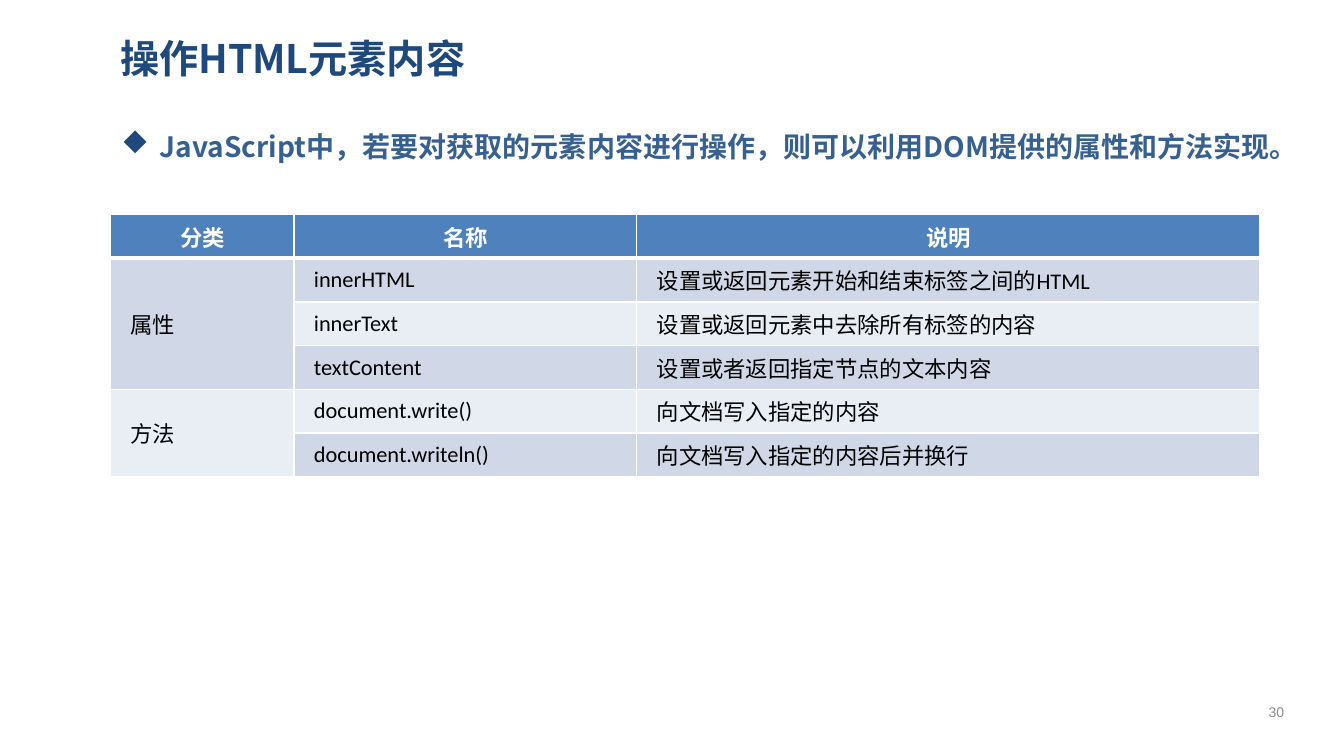
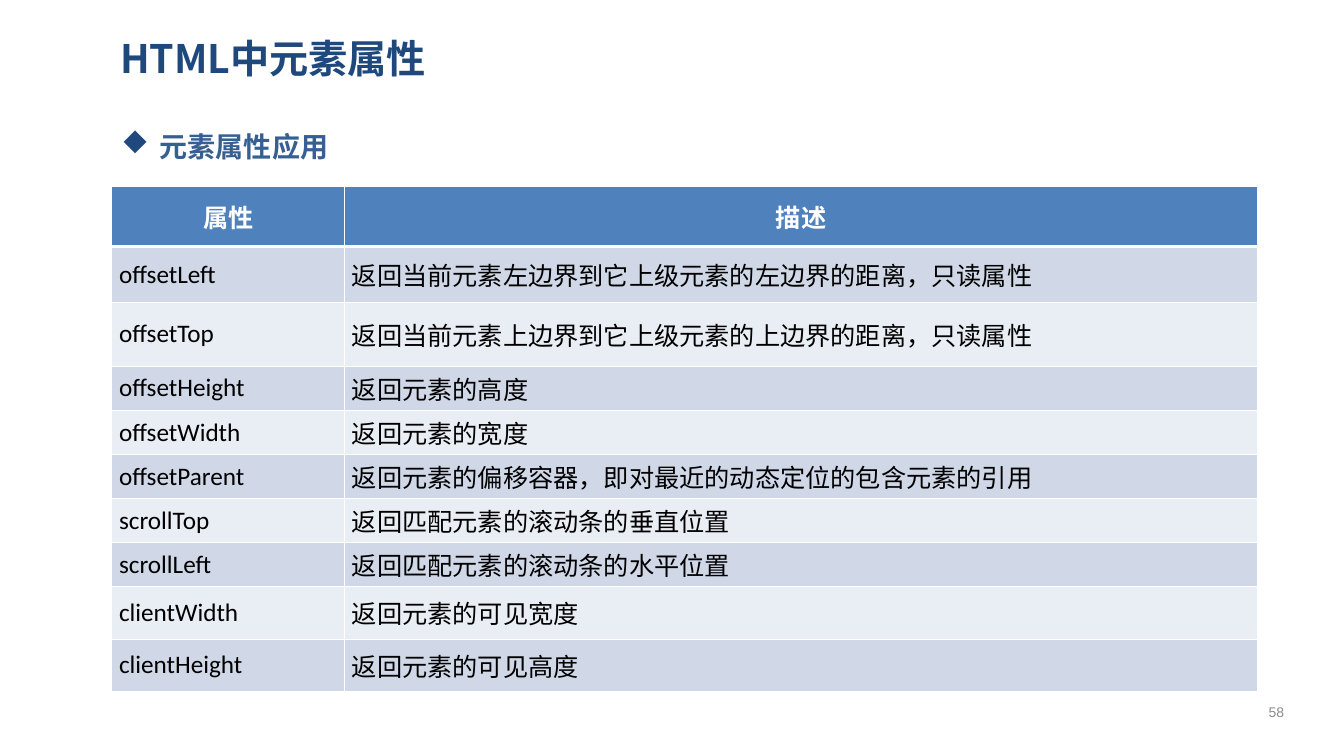
from lxml.etree import SubElement
from pptx import Presentation
from pptx.dml.color import RGBColor
from pptx.enum.text import MSO_ANCHOR, PP_ALIGN
from pptx.oxml import parse_xml
from pptx.oxml.ns import nsdecls, qn
from pptx.util import Cm, Pt

NAVY, BLUE, GREY = "1F497D", "376092", "8C8C8C"
WHITE, BLACK = "FFFFFF", "000000"
HEADER_FILL, BANDS = "4F81BD", ("E9EDF4", "D0D8E8")
CJK_FONT, CELL_FONT, NUMBER_FONT = "Noto Sans CJK SC", "Calibri", "Arial"


def rgb(value):
    return RGBColor.from_string(value)


def write(tf, text, size, color, font=CJK_FONT, bold=False, align=PP_ALIGN.LEFT):
    tf.text = text
    p = tf.paragraphs[0]
    p.alignment = align
    r = p.runs[0]
    r.font.name, r.font.size, r.font.bold = font, Pt(size), bold
    r.font.color.rgb = rgb(color)
    SubElement(r.font._element, qn("a:ea"), typeface=CJK_FONT)
    return p


def add_text(s, box, text, size, color, anchor=MSO_ANCHOR.MIDDLE, **style):
    tf = s.shapes.add_textbox(*map(Cm, box)).text_frame
    tf.word_wrap = True
    tf.vertical_anchor = anchor
    tf.margin_left = tf.margin_right = Cm(0.24)
    tf.margin_top = tf.margin_bottom = Cm(0.11)
    return write(tf, text, size, color, **style)


def add_diamond_bullet(p):
    pPr = p._p.get_or_add_pPr()
    pPr.set("marL", str(Cm(0.97)))
    pPr.set("indent", str(-Cm(0.97)))
    for xml in (f'<a:buClr {nsdecls("a")}><a:srgbClr val="{NAVY}"/></a:buClr>',
                f'<a:buFont {nsdecls("a")} typeface="Wingdings" charset="2"/>',
                f'<a:buChar {nsdecls("a")} char="u"/>'):
        pPr.append(parse_xml(xml))


def set_borders(cell, row):
    """White rules, thicker between the header and the first body row."""
    widths = {"L": 1, "R": 1, "T": 3 if row == 1 else 1, "B": 3 if row == 0 else 1}
    tcPr = cell._tc.get_or_add_tcPr()
    for i, (side, width) in enumerate(widths.items()):
        tcPr.insert(i, parse_xml(
            f'<a:ln{side} {nsdecls("a")} w="{Pt(width)}"><a:solidFill>'
            f'<a:srgbClr val="{WHITE}"/></a:solidFill></a:ln{side}>'))


def add_table(s, left, top, widths, heights, rows, size, indent):
    """Draw a banded table; a None entry joins the cell above it."""
    table = s.shapes.add_table(len(rows), len(widths), Cm(left), Cm(top),
                               Cm(sum(widths)), Cm(sum(heights))).table
    table.first_row = table.horz_banding = False
    for column, width in zip(table.columns, widths):
        column.width = Cm(width)
    for i, (height, texts) in enumerate(zip(heights, rows)):
        table.rows[i].height = Cm(height)
        header = i == 0
        for j, text in enumerate(texts):
            cell = table.cell(i, j)
            cell.fill.solid()
            cell.fill.fore_color.rgb = rgb(HEADER_FILL if header else BANDS[i % 2])
            set_borders(cell, i)
            cell.vertical_anchor = MSO_ANCHOR.MIDDLE
            cell.margin_left = Cm(0.2 if header else indent)
            cell.margin_right = Cm(0.2)
            cell.margin_top = cell.margin_bottom = 0
            if text:
                write(cell.text_frame, text, size, WHITE if header else BLACK,
                      font=CELL_FONT, bold=header,
                      align=PP_ALIGN.CENTER if header else PP_ALIGN.LEFT)
    for j in range(len(widths)):
        starts = [i for i, texts in enumerate(rows) if texts[j]] + [len(rows)]
        for first, following in zip(starts, starts[1:]):
            if following - first > 1:
                table.cell(first, j).merge(table.cell(following - 1, j))


def add_slide(prs, title, point, number):
    s = prs.slides.add_slide(prs.slide_layouts[6])
    add_text(s, (2.79, 0.61, 29.59, 1.7), title, 28, NAVY, bold=True)
    p = add_text(s, (2.82, 3.15, 29.59, 14.3), point, 20, BLUE,
                 anchor=MSO_ANCHOR.TOP, bold=True)
    add_diamond_bullet(p)
    add_text(s, (31.34, 17.42, 1.65, 1.02), number, 10, GREY,
             font=NUMBER_FONT, align=PP_ALIGN.CENTER)
    return s


def main():
    prs = Presentation()
    prs.slide_width, prs.slide_height = Cm(33.87), Cm(19.05)

    s = add_slide(prs, "操作HTML元素内容",
                  "JavaScript中，若要对获取的元素内容进行操作，则可以利用DOM提供的属性和方法实现。", "30")
    add_table(s, 2.79, 5.41, (4.62, 8.64, 15.7), [1.1] * 6, [
        ("分类", "名称", "说明"),
        ("属性", "innerHTML", "设置或返回元素开始和结束标签之间的HTML"),
        (None, "innerText", "设置或返回元素中去除所有标签的内容"),
        (None, "textContent", "设置或者返回指定节点的文本内容"),
        ("方法", "document.write()", "向文档写入指定的内容"),
        (None, "document.writeln()", "向文档写入指定的内容后并换行"),
    ], size=16, indent=0.5)

    s = add_slide(prs, "HTML中元素属性", "元素属性应用", "58")
    heights = [1.51, 1.41, 1.61] + [1.11] * 5 + [1.33, 1.31]
    add_table(s, 2.82, 4.7, (5.87, 23), heights, [
        ("属性", "描述"),
        ("offsetLeft", "返回当前元素左边界到它上级元素的左边界的距离，只读属性"),
        ("offsetTop", "返回当前元素上边界到它上级元素的上边界的距离，只读属性"),
        ("offsetHeight", "返回元素的高度"),
        ("offsetWidth", "返回元素的宽度"),
        ("offsetParent", "返回元素的偏移容器，即对最近的动态定位的包含元素的引用"),
        ("scrollTop", "返回匹配元素的滚动条的垂直位置"),
        ("scrollLeft", "返回匹配元素的滚动条的水平位置"),
        ("clientWidth", "返回元素的可见宽度"),
        ("clientHeight", "返回元素的可见高度"),
    ], size=18, indent=0.18)

    prs.save("out.pptx")


if __name__ == "__main__":
    main()
